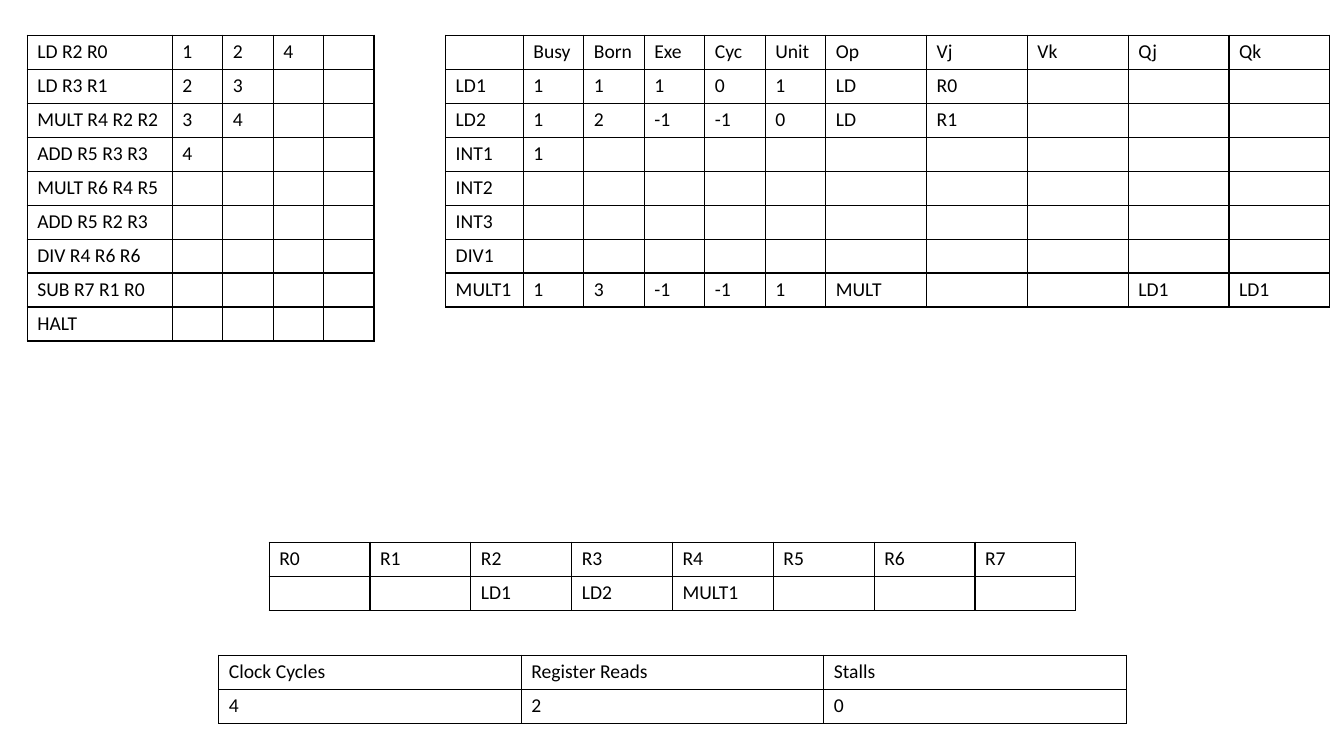
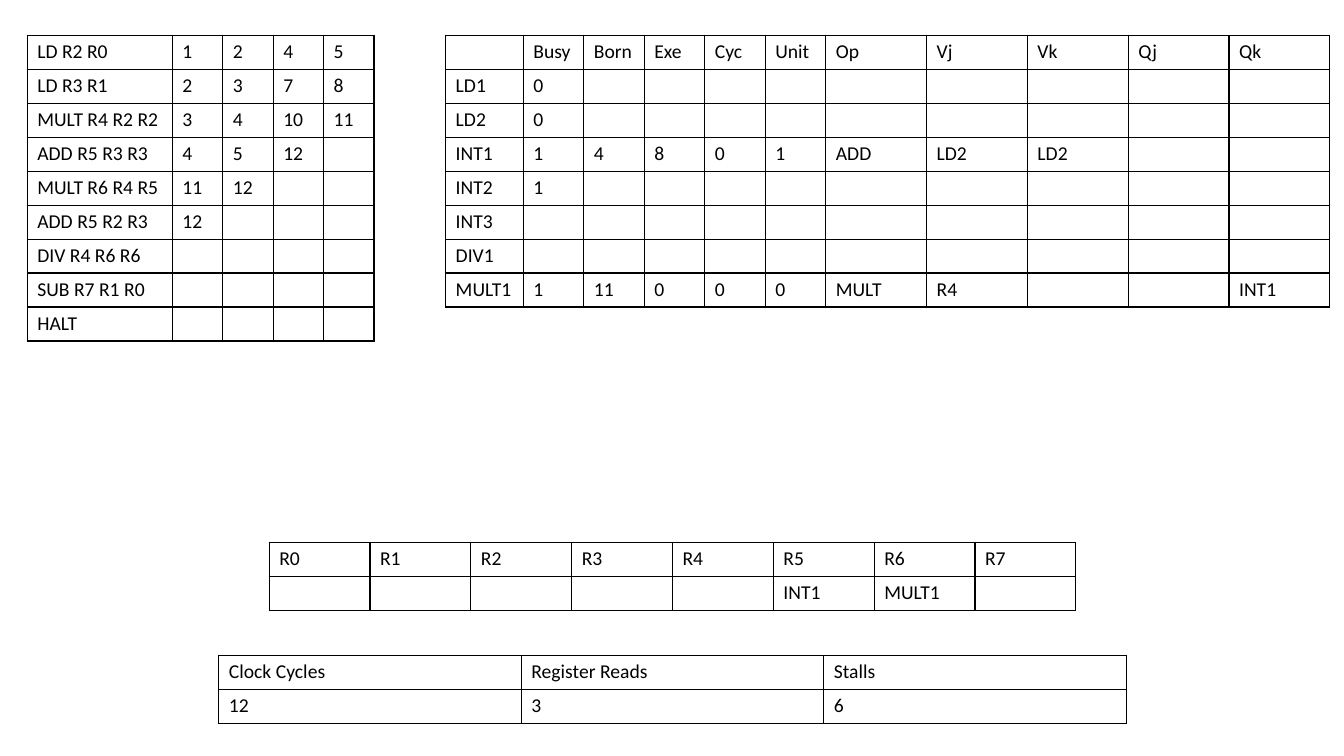
from lxml.etree import SubElement
from pptx import Presentation
from pptx.dml.color import RGBColor
from pptx.oxml.ns import qn
from pptx.util import Inches, Pt

FONT_NAME = "Calibri"
FONT_SIZE = 14
BLACK = "000000"
BORDER_WIDTH = 1

INSTRUCTIONS = [
    "LD R2 R0", "LD R3 R1", "MULT R4 R2 R2", "ADD R5 R3 R3", "MULT R6 R4 R5",
    "ADD R5 R2 R3", "DIV R4 R6 R6", "SUB R7 R1 R0", "HALT",
]
STATION_FIELDS = ["", "Busy", "Born", "Exe", "Cyc", "Unit", "Op", "Vj", "Vk", "Qj", "Qk"]
STATIONS = ["LD1", "LD2", "INT1", "INT2", "INT3", "DIV1", "MULT1"]
REGISTERS = [f"R{number}" for number in range(8)]
COUNTERS = ["Clock Cycles", "Register Reads", "Stalls"]

CYCLES = [
    {
        "timing": {
            "LD R2 R0": ["1", "2", "4"],
            "LD R3 R1": ["2", "3"],
            "MULT R4 R2 R2": ["3", "4"],
            "ADD R5 R3 R3": ["4"],
        },
        "stations": {
            "LD1": ["1", "1", "1", "0", "1", "LD", "R0"],
            "LD2": ["1", "2", "-1", "-1", "0", "LD", "R1"],
            "INT1": ["1"],
            "MULT1": ["1", "3", "-1", "-1", "1", "MULT", "", "", "LD1", "LD1"],
        },
        "registers": {"R2": "LD1", "R3": "LD2", "R4": "MULT1"},
        "counters": ["4", "2", "0"],
    },
    {
        "timing": {
            "LD R2 R0": ["1", "2", "4", "5"],
            "LD R3 R1": ["2", "3", "7", "8"],
            "MULT R4 R2 R2": ["3", "4", "10", "11"],
            "ADD R5 R3 R3": ["4", "5", "12"],
            "MULT R6 R4 R5": ["11", "12"],
            "ADD R5 R2 R3": ["12"],
        },
        "stations": {
            "LD1": ["0"],
            "LD2": ["0"],
            "INT1": ["1", "4", "8", "0", "1", "ADD", "LD2", "LD2"],
            "INT2": ["1"],
            "MULT1": ["1", "11", "0", "0", "0", "MULT", "R4", "", "", "INT1"],
        },
        "registers": {"R5": "INT1", "R6": "MULT1"},
        "counters": ["12", "3", "6"],
    },
]


def color(hex_value):
    return RGBColor.from_string(hex_value)


def draw_borders(cell):
    properties = cell._tc.get_or_add_tcPr()
    for side in ("lnL", "lnR", "lnT", "lnB"):
        line = SubElement(properties, qn(f"a:{side}"), w=str(Pt(BORDER_WIDTH)))
        fill = SubElement(line, qn("a:solidFill"))
        SubElement(fill, qn("a:srgbClr"), val=BLACK)


def write_cell(cell, text):
    draw_borders(cell)
    cell.fill.background()
    paragraph = cell.text_frame.paragraphs[0]
    if text:
        run = paragraph.add_run()
        run.text = text
        run.font.name = FONT_NAME
        run.font.size = Pt(FONT_SIZE)
        run.font.color.rgb = color(BLACK)
    else:
        SubElement(paragraph._p, qn("a:endParaRPr"), sz=str(FONT_SIZE * 100))


def add_grid(slide, box, column_widths, rows):
    left, top, width, height = (Inches(length) for length in box)
    shape = slide.shapes.add_table(len(rows), len(column_widths), left, top, width, height)
    table = shape.table
    table.first_row = False
    table.horz_banding = False
    for column, column_width in zip(table.columns, column_widths):
        column.width = Inches(column_width)
    for row, values in zip(table.rows, rows):
        padded = values + [""] * (len(column_widths) - len(values))
        for cell, text in zip(row.cells, padded):
            write_cell(cell, text)


def add_timing(slide, box, timing):
    rows = [[name] + timing.get(name, []) for name in INSTRUCTIONS]
    add_grid(slide, box, [1.44] + [0.5] * 4, rows)


def add_stations(slide, box, stations):
    rows = [STATION_FIELDS] + [[name] + stations.get(name, []) for name in STATIONS]
    add_grid(slide, box, [0.77] + [0.6] * 5 + [1] * 5, rows)


def add_even_table(slide, box, headings, values):
    column_width = box[2] / len(headings)
    add_grid(slide, box, [column_width] * len(headings), [headings, values])


def add_cycle_slide(presentation, cycle):
    slide = presentation.slides.add_slide(presentation.slide_layouts[6])
    add_timing(slide, (0.27, 0.35, 3.44, 3), cycle["timing"])
    add_stations(slide, (4.42, 0.35, 8.77, 2.67), cycle["stations"])
    owners = [cycle["registers"].get(name, "") for name in REGISTERS]
    add_even_table(slide, (2.67, 5.38, 8, 0.67), REGISTERS, owners)
    add_even_table(slide, (2.17, 6.5, 9, 0.67), COUNTERS, cycle["counters"])


def main():
    presentation = Presentation()
    presentation.slide_width = Inches(13.33)
    presentation.slide_height = Inches(7.5)
    for cycle in CYCLES:
        add_cycle_slide(presentation, cycle)
    presentation.save("out.pptx")


if __name__ == "__main__":
    main()
